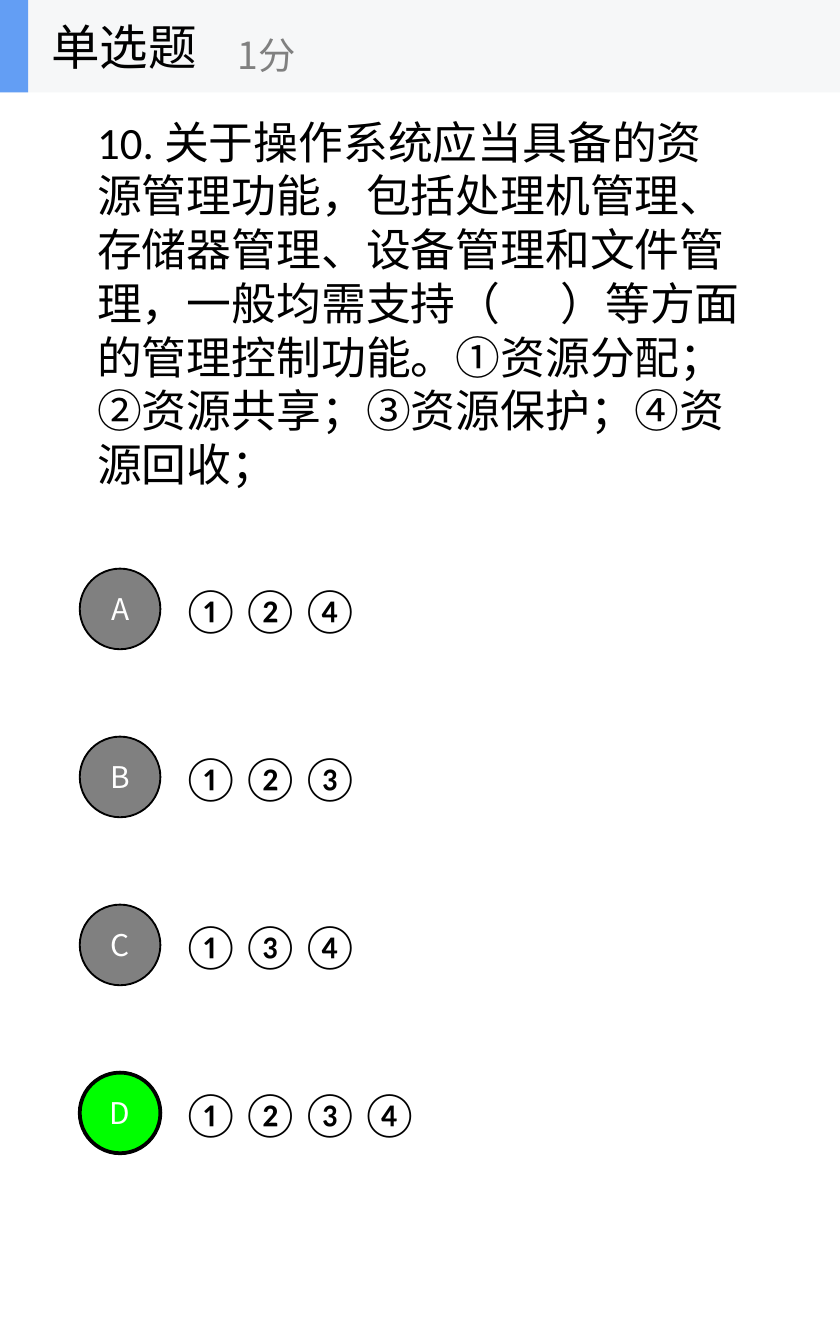
from lxml.etree import SubElement
from pptx import Presentation
from pptx.dml.color import RGBColor
from pptx.enum.shapes import MSO_SHAPE as SHAPE
from pptx.enum.text import MSO_ANCHOR as ANCHOR, MSO_AUTO_SIZE as AUTO, PP_ALIGN as ALIGN
from pptx.oxml.ns import qn
from pptx.util import Inches, Pt

BLACK = RGBColor(0x00, 0x00, 0x00)
WHITE = RGBColor(0xFF, 0xFF, 0xFF)
GRAY = RGBColor(0x80, 0x80, 0x80)
GREEN = RGBColor(0x00, 0xFF, 0x00)
PALE = RGBColor(0xF6, 0xF7, 0xF8)
BLUE = RGBColor(0x63, 0x9E, 0xF4)

LATIN = "Calibri"
CJK = "Noto Sans CJK SC"

QUESTION = (
    "10. 关于操作系统应当具备的资源管理功能，包括处理机管理、存储器管理、设备管理和文件管理，"
    "一般均需支持（      ）等方面的管理控制功能。"
    "①资源分配；②资源共享；③资源保护；④资源回收；"
)
OPTIONS = {"A": "①②④", "B": "①②③", "C": "①③④", "D": "①②③④"}
ANSWER = "D"


class QuizSlide:
    """A slide on a grid of 20 columns by 32 square rows."""

    def __init__(self, prs):
        self.unit = prs.slide_width / 20
        self.s = prs.slides.add_slide(prs.slide_layouts[5])

    def box(self, *cells):
        return [round(c * self.unit) for c in cells]

    def put_text(self, sp, text, size, color, font, align=ALIGN.LEFT, spacing=None):
        tf = sp.text_frame
        tf.word_wrap = True
        tf.auto_size = AUTO.NONE
        tf.vertical_anchor = ANCHOR.MIDDLE
        p = tf.paragraphs[0]
        p.alignment = align
        if spacing:
            p.line_spacing = Pt(spacing)
        r = p.add_run()
        r.text = text
        r.font.size = Pt(size)
        r.font.name = font
        r.font.color.rgb = color
        if font == CJK:
            SubElement(r.font._element, qn("a:ea"), typeface=font)

    def title(self, cells, text, size):
        sp = self.s.shapes.title
        sp.left, sp.top, sp.width, sp.height = self.box(*cells)
        self.put_text(sp, text, size, BLACK, CJK)
        # Bring the title in front of the header band
        self.s.shapes._spTree.append(sp._element)

    def text(self, cells, text, size, color=BLACK, font=LATIN, spacing=None):
        sp = self.s.shapes.add_textbox(*self.box(*cells))
        self.put_text(sp, text, size, color, font, spacing=spacing)

    def shape(self, kind, cells, fill, line=None):
        sp = self.s.shapes.add_shape(kind, *self.box(*cells))
        sp.shadow.inherit = False
        sp.fill.solid()
        sp.fill.fore_color.rgb = fill
        if line:
            sp.line.color.rgb = BLACK
            sp.line.width = Pt(line)
        else:
            sp.line.fill.background()
        return sp

    def option(self, row, letter, text, correct):
        self.text((4, row, 14, 3), text, 24)
        fill, line = (GREEN, 2) if correct else (GRAY, 1)
        sp = self.shape(SHAPE.OVAL, (1.9, row + 0.54, 1.92, 1.92), fill, line)
        tf = sp.text_frame
        tf.margin_left = tf.margin_right = tf.margin_top = tf.margin_bottom = 0
        self.put_text(sp, letter, 16, WHITE, CJK, ALIGN.CENTER)


def main():
    prs = Presentation()
    prs.slide_width, prs.slide_height = Inches(6.25), Inches(10)
    quiz = QuizSlide(prs)

    # Question
    quiz.text((2, 2.2, 16, 10), QUESTION, 24, spacing=28.8)

    # Options, one every four rows
    for i, (letter, text) in enumerate(OPTIONS.items()):
        quiz.option(13 + 4 * i, letter, text, letter == ANSWER)

    # Header band with question type and score
    quiz.shape(SHAPE.RECTANGLE, (0, 0, 20, 2.2), PALE)
    quiz.shape(SHAPE.RECTANGLE, (0, 0, 0.67, 2.2), BLUE)
    quiz.title((0.9, 0, 6.66, 2.2), "单选题", 26)
    quiz.text((5.34, 0.4, 8, 1.8), "1分", 20, GRAY, CJK)

    prs.save("out.pptx")


if __name__ == "__main__":
    main()
